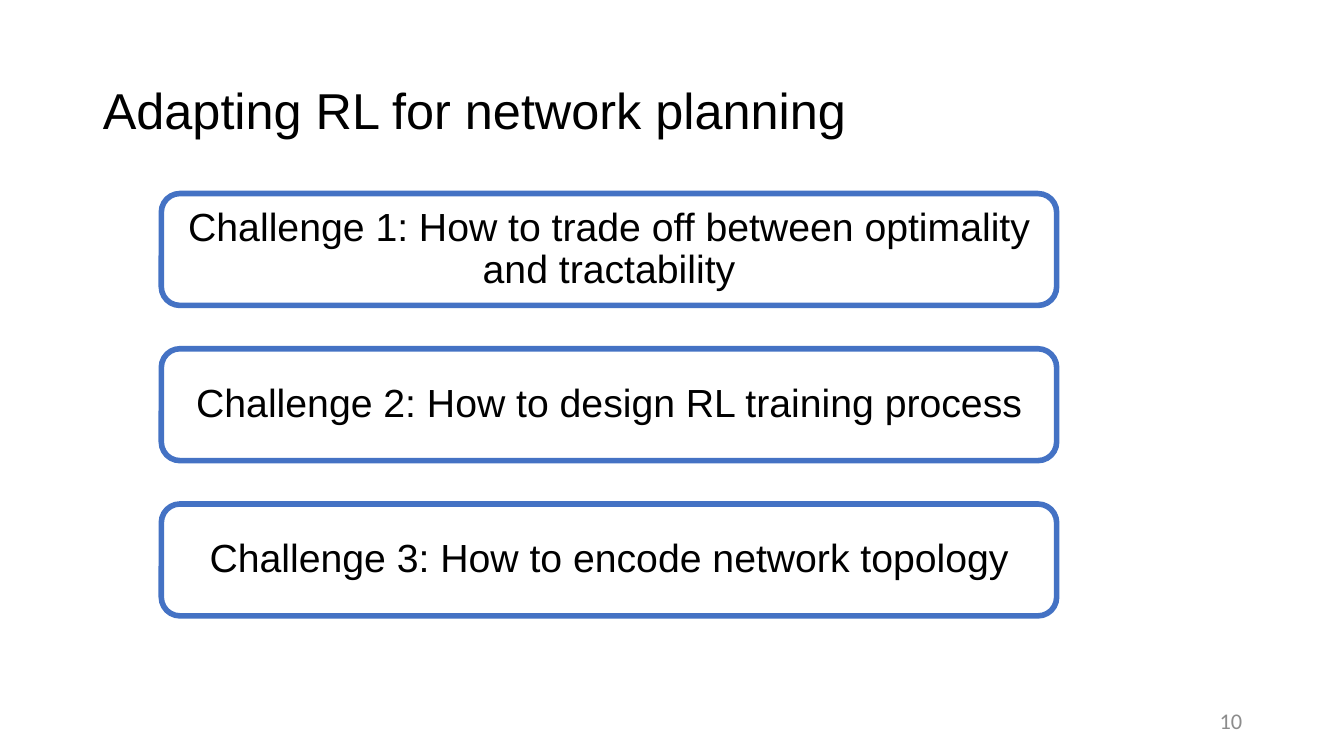
from pptx import Presentation
from pptx.dml.color import RGBColor
from pptx.enum import shapes, text

PX = 9144  # 100 px to the inch
PT = 12700
BLACK = RGBColor(0, 0, 0)
WHITE = RGBColor(255, 255, 255)
BLUE = RGBColor(0x44, 0x72, 0xC4)
GREY = RGBColor(0x8C, 0x8C, 0x8C)


class Deck:
    """Holds the style and the current slide."""
    font = "Arial"

    def __init__(self, wide, high):
        self.prs = Presentation()
        self.prs.slide_width = wide * PX
        self.prs.slide_height = high * PX
        self.slide = self.prs.slides.add_slide(self.prs.slide_layouts[5])

    def label(self, shape, words, size, align, color=BLACK, font=None):
        frame = shape.text_frame
        frame.text = words
        frame.word_wrap = True
        frame.auto_size = text.MSO_AUTO_SIZE.NONE
        frame.vertical_anchor = text.MSO_ANCHOR.MIDDLE
        para = frame.paragraphs[0]
        para.alignment = align
        for run in para.runs:
            run.font.name = font or self.font
            run.font.size = size * PT
            run.font.color.rgb = color
        return para

    def title(self, words, x, y, w, h):
        head = self.slide.shapes.title
        head.left, head.top, head.width, head.height = (
            n * PX for n in (x, y, w, h))
        para = self.label(head, words, 36, text.PP_ALIGN.LEFT)
        para.line_spacing = 0.9

    def card(self, words, x, y, w, h):
        box = self.slide.shapes.add_shape(
            shapes.MSO_SHAPE.ROUNDED_RECTANGLE,
            x * PX, y * PX, w * PX, h * PX)
        box.shadow.inherit = False
        box.fill.solid()
        box.fill.fore_color.rgb = WHITE
        box.line.color.rgb = BLUE
        box.line.width = 4 * PT
        para = self.label(box, words, 28, text.PP_ALIGN.CENTER)
        para.line_spacing = 0.9
        para.space_before = 10 * PT

    def number(self, words, x, y, w, h):
        box = self.slide.shapes.add_textbox(x * PX, y * PX, w * PX, h * PX)
        self.label(box, words, 16, text.PP_ALIGN.RIGHT, GREY, "Calibri")


def main():
    deck = Deck(1333, 750)

    # Heading and page number
    deck.title("Adapting RL for network planning", 92, 40, 1150, 145)
    deck.number("10", 942, 695, 300, 40)

    # Challenges, evenly stacked
    goals = ["How to trade off between optimality and tractability",
             "How to design RL training process",
             "How to encode network topology"]
    top, step = 192, 154
    for i, goal in enumerate(goals):
        deck.card(f"Challenge {i + 1}: {goal}", 160, top + i * step, 888, 111)

    deck.prs.save("out.pptx")


if __name__ == "__main__":
    main()
